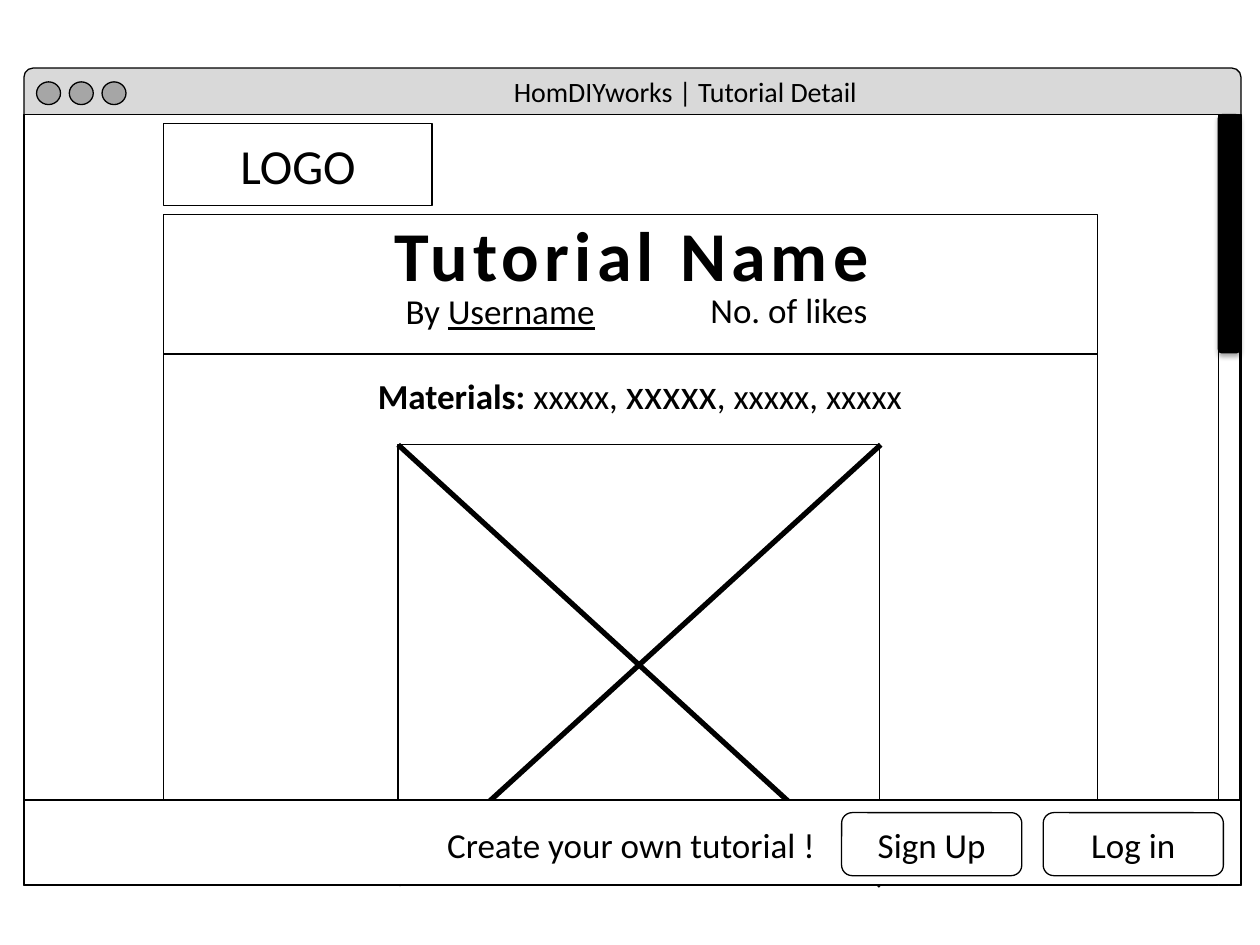
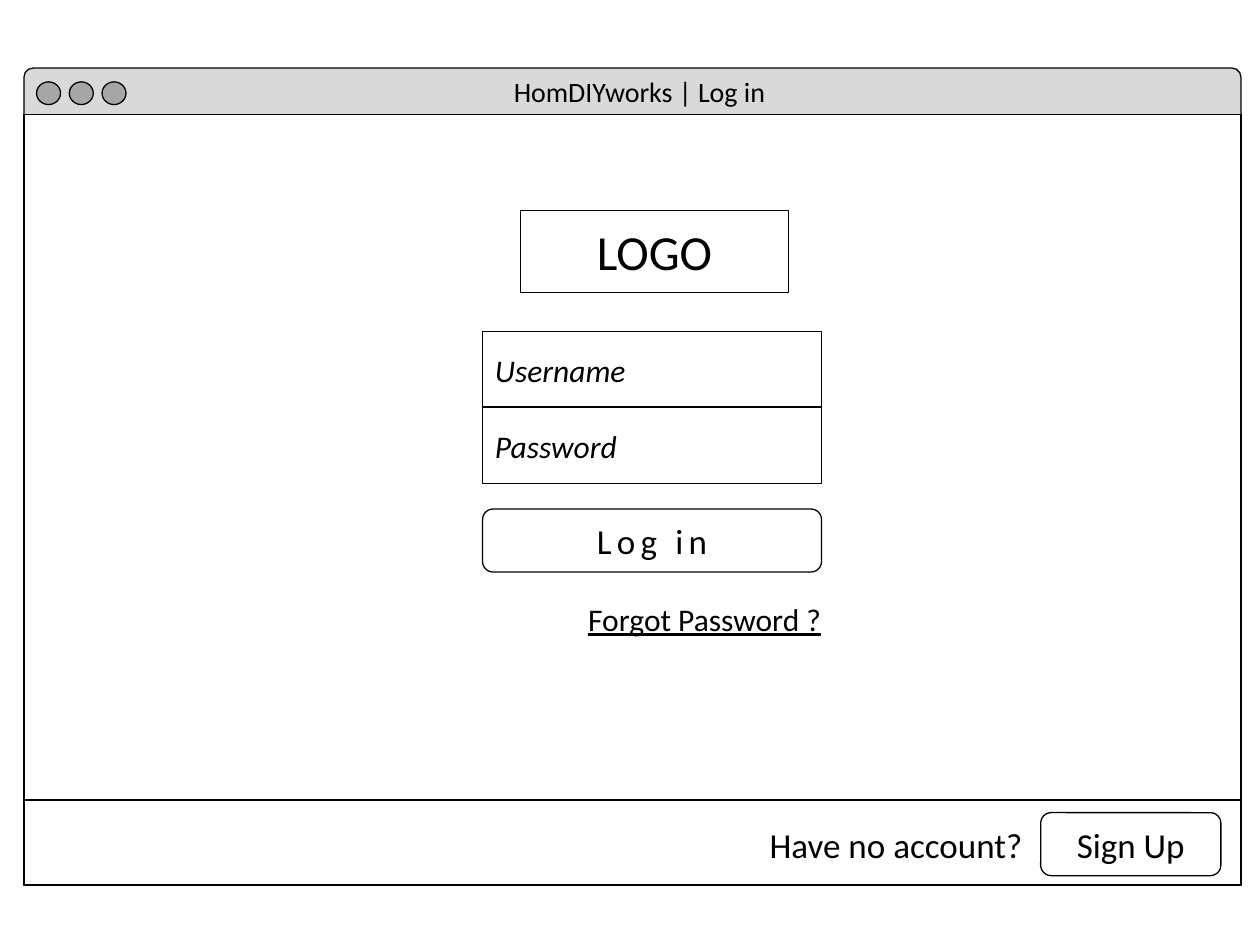
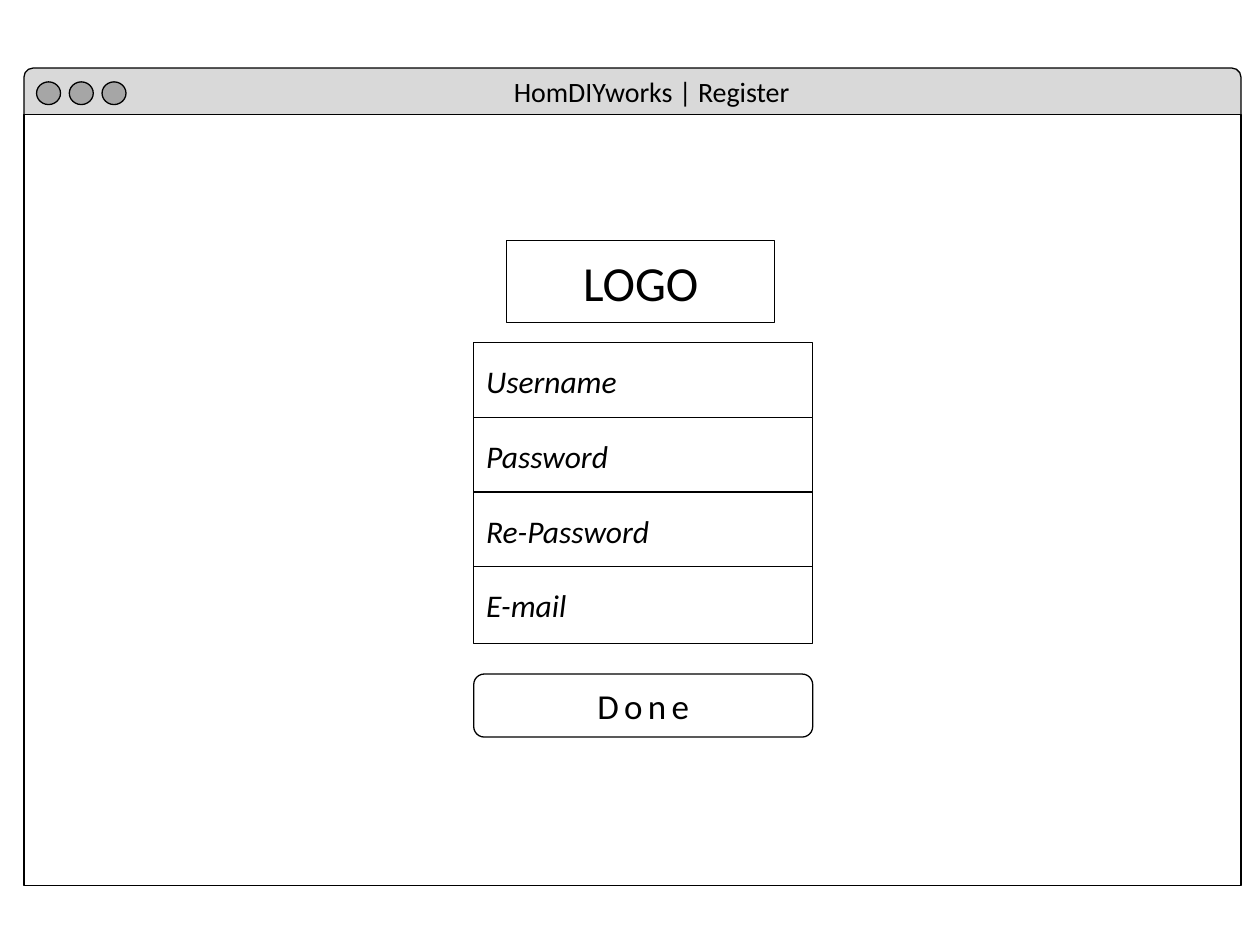
from pptx import Presentation
from pptx.dml.color import RGBColor
from pptx.enum.shapes import MSO_CONNECTOR, MSO_SHAPE
from pptx.enum.text import MSO_ANCHOR, PP_ALIGN
from pptx.oxml import parse_xml
from pptx.oxml.ns import nsdecls, qn
from pptx.util import Inches, Pt
from lxml.etree import SubElement

INK = {"black": "000000", "white": "FFFFFF", "bar": "D9D9D9", "dot": "A6A6A6"}
FONT = "Calibri"
SITE = "HomDIYworks"
RECT, ROUND, OVAL = MSO_SHAPE.RECTANGLE, MSO_SHAPE.ROUNDED_RECTANGLE, MSO_SHAPE.OVAL
LEFT, MID = PP_ALIGN.LEFT, PP_ALIGN.CENTER
WIN_X, WIN_Y, WIN_W, WIN_H = 0.19, 0.91, 9.66, 6.12
BTN_W, BTN_H = 1.43, 0.5
FORM_W, ROW_H = 2.69, 0.61


def write(shape, text, size, align=LEFT, bold=None, italic=None, line=None, space=0):
    """Fill a shape with one paragraph; text is a string or a list of runs."""
    para = shape.text_frame.paragraphs[0]
    para.alignment = align
    font = para.font
    font.name, font.size = FONT, Pt(size)
    font.bold, font.italic, font.underline = bold, italic, line
    font.color.rgb = RGBColor.from_string(INK["black"])
    for part, look in [(text, {})] if isinstance(text, str) else text:
        run = para.add_run()
        run.text = part
        for key, value in look.items():
            setattr(run.font, key, value)
        if space:
            run._r.get_or_add_rPr().set("spc", str(space * 100))


def box(slide, kind, x, y, w, h, fill=None):
    """Draw an outlined shape, or a plain text box when kind is None."""
    area = [Inches(n) for n in (x, y, w, h)]
    if kind is None:
        shape = slide.shapes.add_textbox(*area)
        shape.text_frame.word_wrap = True
        return shape
    shape = slide.shapes.add_shape(kind, *area)
    shape.shadow.inherit = False
    if fill:
        shape.fill.solid()
        shape.fill.fore_color.rgb = RGBColor.from_string(INK[fill])
    else:
        shape.fill.background()
    shape.line.color.rgb = RGBColor.from_string(INK["black"])
    shape.line.width = Pt(0.75)
    shape.text_frame.vertical_anchor = MSO_ANCHOR.MIDDLE
    return shape


deck = Presentation()
deck.slide_width, deck.slide_height = Inches(10), Inches(7.5)

# Browser window and logo on every slide
pages = []
for title, logo_x, logo_y in [("Tutorial Detail", 1.3, 0.98),
                              ("Log in", 4.13, 1.67), ("Register", 4.02, 1.91)]:
    page = deck.slides.add_slide(deck.slide_layouts[6])
    box(page, ROUND, WIN_X, 0.54, WIN_W, 0.44, "bar")
    box(page, RECT, WIN_X, WIN_Y, WIN_W, WIN_H, "white")
    for i in range(3):
        box(page, OVAL, 0.29 + 0.26 * i, 0.65, 0.19, 0.18, "dot")
    write(box(page, None, 3.98, 0.54, 3.27, 0.37), f"{SITE} | {title}", 16)
    write(box(page, RECT, logo_x, logo_y, 2.13, 0.65, "white"), "LOGO", 28, MID)
    pages.append(page)
detail, login, signup = pages

# Tutorial panel and scroll bar
box(detail, RECT, 1.3, 1.7, 7.41, 5.33, "white")
box(detail, RECT, 9.67, WIN_Y, 0.17, WIN_H, "white")
thumb = box(detail, ROUND, 9.67, WIN_Y, 0.17, 1.89, "black")
glow = thumb._element.spPr.find(qn("a:effectLst"))
glow.append(parse_xml(
    f'<a:outerShdw {nsdecls("a")} blurRad="39370" dist="22860" dir="5400000" '
    'rotWithShape="0"><a:srgbClr val="000000"><a:alpha val="35000"/>'
    '</a:srgbClr></a:outerShdw>'))

# Tutorial heading
write(box(detail, None, 3.03, 1.63, 4.16, 0.77), "Tutorial Name", 40, bold=True, space=3)
for x, y, w, text in [
        (3.12, 2.25, 1.72, [("By ", {}), ("Username", {"underline": True})]),
        (5.54, 2.24, 1.47, "No. of likes"),
        (2.9, 2.87, 4.4, [("Materials: ", {"bold": True}), ("xxxxx, ", {}),
                          ("xxxxx", {"size": Pt(24)}), (", xxxxx, xxxxx", {})])]:
    note = box(detail, None, x, y, w, 0.44)
    note.text_frame.word_wrap = False
    write(note, text, 20)

# Image frame with its cross, and the heading rule
box(detail, RECT, 3.16, 3.53, 3.82, 3.5)
for x1, y1, x2, y2, width in [(1.3, 2.81, 8.71, 2.81, 1),
                              (3.16, 3.53, 6.99, 7.03, 3),
                              (3.16, 7.02, 6.99, 3.53, 3)]:
    rule = detail.shapes.add_connector(
        MSO_CONNECTOR.STRAIGHT, *[Inches(n) for n in (x1, y1, x2, y2)])
    rule.line.color.rgb = RGBColor.from_string(INK["black"])
    rule.line.width = Pt(width)
    SubElement(rule._element.spPr, qn("a:effectLst"))

# Forms: stacked fields and a wide button
for page, x, y, step, fields, btn_y, action in [
        (login, 3.83, 2.63, 0.6, ["Username", "Password"], 4.04, "Log in"),
        (signup, 3.76, 2.72, 0.593,
         ["Username", "Password", "Re-Password", "E-mail"], 5.35, "Done")]:
    for i, name in enumerate(fields):
        write(box(page, RECT, x, y + step * i, FORM_W, ROW_H, "white"),
              name, 18, italic=True)
    write(box(page, ROUND, x, btn_y, FORM_W, BTN_H), action, 20, MID, space=3)
write(box(login, None, 4.57, 4.71, 2.27, 0.4), "Forgot Password ?", 18, line=True)

# Footer prompt and buttons
for page, x, w, prompt, buttons in [
        (detail, 3.45, 3.42, "Create your own tutorial !",
         [(6.68, "Sign Up"), (8.28, "Log in")]),
        (login, 6.01, 2.44, "Have no account?", [(8.26, "Sign Up")])]:
    box(page, RECT, WIN_X, 6.35, WIN_W, 0.67, "white")
    write(box(page, None, x, 6.49, w, 0.44), prompt, 20)
    for btn_x, name in buttons:
        write(box(page, ROUND, btn_x, 6.45, BTN_W, BTN_H), name, 20, MID)

deck.save("out.pptx")
